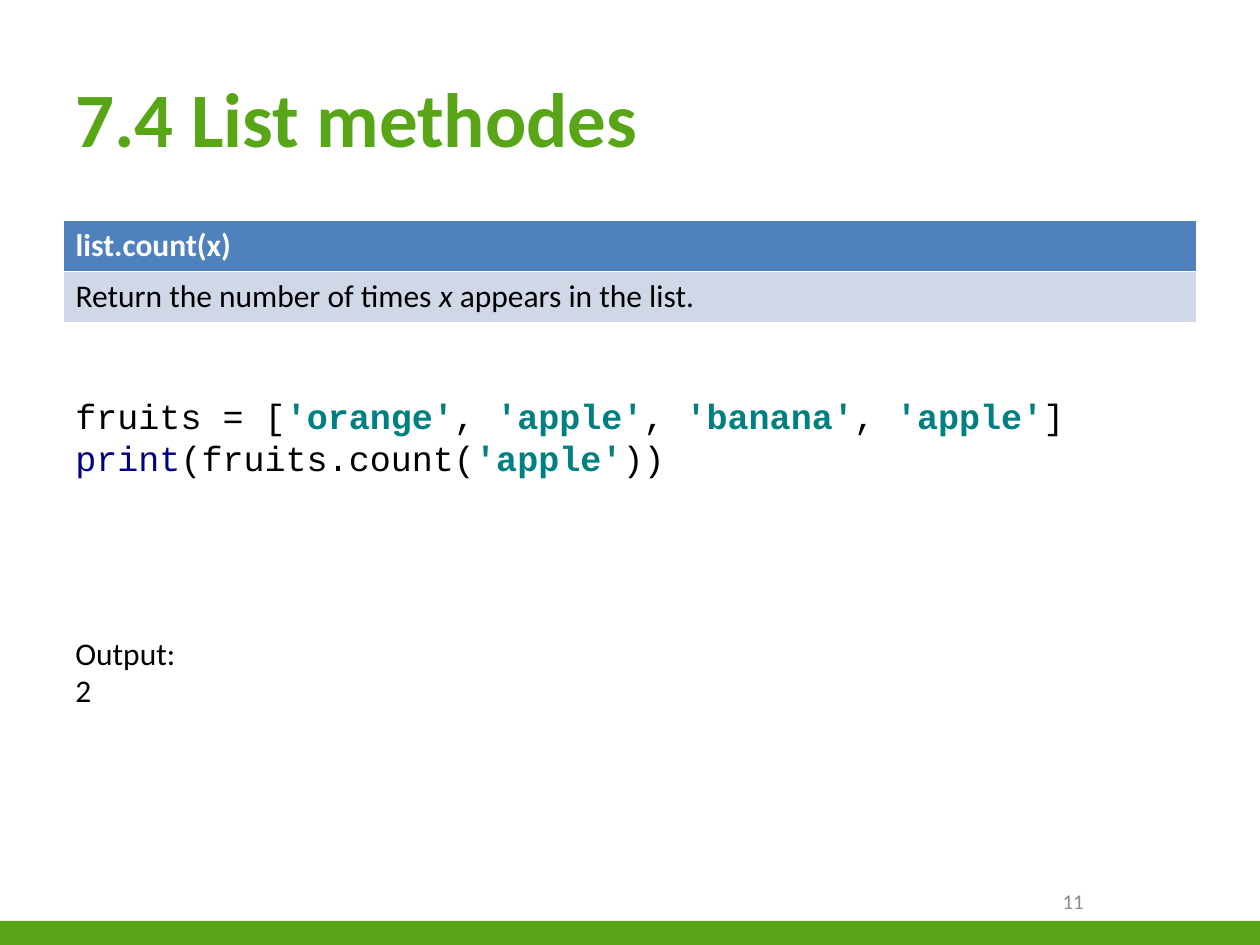
from pptx import Presentation, util as u
from pptx.dml.color import RGBColor
from pptx.enum import shapes, text

GREEN, BLUE, PALE, GREY = "58A618", "4F81BD", "D0D8E8", "8C8C8C"
WHITE, BLACK, NAVY, TEAL = "FFFFFF", "000000", "000080", "008080"


def color(value):
    return RGBColor.from_string(value)


def add_text(p, content, size=18, font="Calibri", fill=BLACK, bold=False, italic=False):
    r = p.add_run()
    r.text = content
    f = r.font
    f.name, f.size, f.bold, f.italic = font, u.Pt(size), bold, italic
    f.color.rgb = color(fill)


class Deck:
    """Hold the style and the current slide, and add each kind of element."""

    def __init__(self):
        self.prs = Presentation()
        self.prs.slide_width, self.prs.slide_height = u.Inches(10), u.Inches(7.5)
        self.s = self.prs.slides.add_slide(self.prs.slide_layouts[6])

    def rect(self, box, fill):
        sp = self.s.shapes.add_shape(shapes.MSO_SHAPE.RECTANGLE, *map(u.Inches, box))
        sp.shadow.inherit = False
        sp.fill.solid()
        sp.fill.fore_color.rgb = color(fill)
        sp.line.fill.background()
        return sp

    def text(self, box, lines, anchor=text.MSO_ANCHOR.MIDDLE,
             align=text.PP_ALIGN.LEFT, **style):
        tf = self.s.shapes.add_textbox(*map(u.Inches, box)).text_frame
        tf.word_wrap, tf.vertical_anchor = True, anchor
        for i, line in enumerate(lines):
            p = tf.add_paragraph() if i else tf.paragraphs[0]
            p.alignment = align
            add_text(p, line, **style)

    def code(self, box, lines, **style):
        tf = self.rect(box, WHITE).text_frame
        tf.word_wrap, tf.vertical_anchor = True, text.MSO_ANCHOR.MIDDLE
        p = tf.paragraphs[0]
        p.alignment = text.PP_ALIGN.LEFT
        for i, line in enumerate(lines):
            if i:
                p.add_line_break()
            for content, fill in line:
                add_text(p, content, fill=fill, bold=fill == TEAL, **style)

    def table(self, box, rows):
        tbl = self.s.shapes.add_table(len(rows), 1, *map(u.Inches, box)).table
        for cell, (fill, runs) in zip(tbl.iter_cells(), rows):
            cell.fill.solid()
            cell.fill.fore_color.rgb = color(fill)
            for content, style in runs:
                add_text(cell.text_frame.paragraphs[0], content, **style)


def main():
    deck = Deck()
    deck.rect((0, 7.31, 10, 0.2), GREEN)
    deck.text((0.5, 0.3, 9, 1.25), ["7.4 List methodes"], size=44, fill=GREEN, bold=True)
    deck.text((7.17, 6.95, 1.53, 0.4), ["11"], align=text.PP_ALIGN.RIGHT,
              size=12, fill=GREY)
    deck.table((0.5, 1.75, 9, 0.81), [
        (BLUE, [("list.count(x)", dict(fill=WHITE, bold=True))]),
        (PALE, [("Return the number of times ", {}), ("x", dict(italic=True)),
                (" appears in the list.", {})]),
    ])
    deck.code((0.5, 3.08, 8.82, 0.77), [
        [("fruits = [", BLACK), ("'orange'", TEAL), (", ", BLACK), ("'apple'", TEAL),
         (", ", BLACK), ("'banana'", TEAL), (", ", BLACK), ("'apple'", TEAL), ("]", BLACK)],
        [("print", NAVY), ("(fruits.count(", BLACK), ("'apple'", TEAL), ("))", BLACK)],
    ], size=20, font="Courier New")
    deck.text((0.5, 4.98, 8.44, 0.71), ["Output:", "2"], anchor=text.MSO_ANCHOR.TOP)
    deck.prs.save("out.pptx")


if __name__ == "__main__":
    main()
